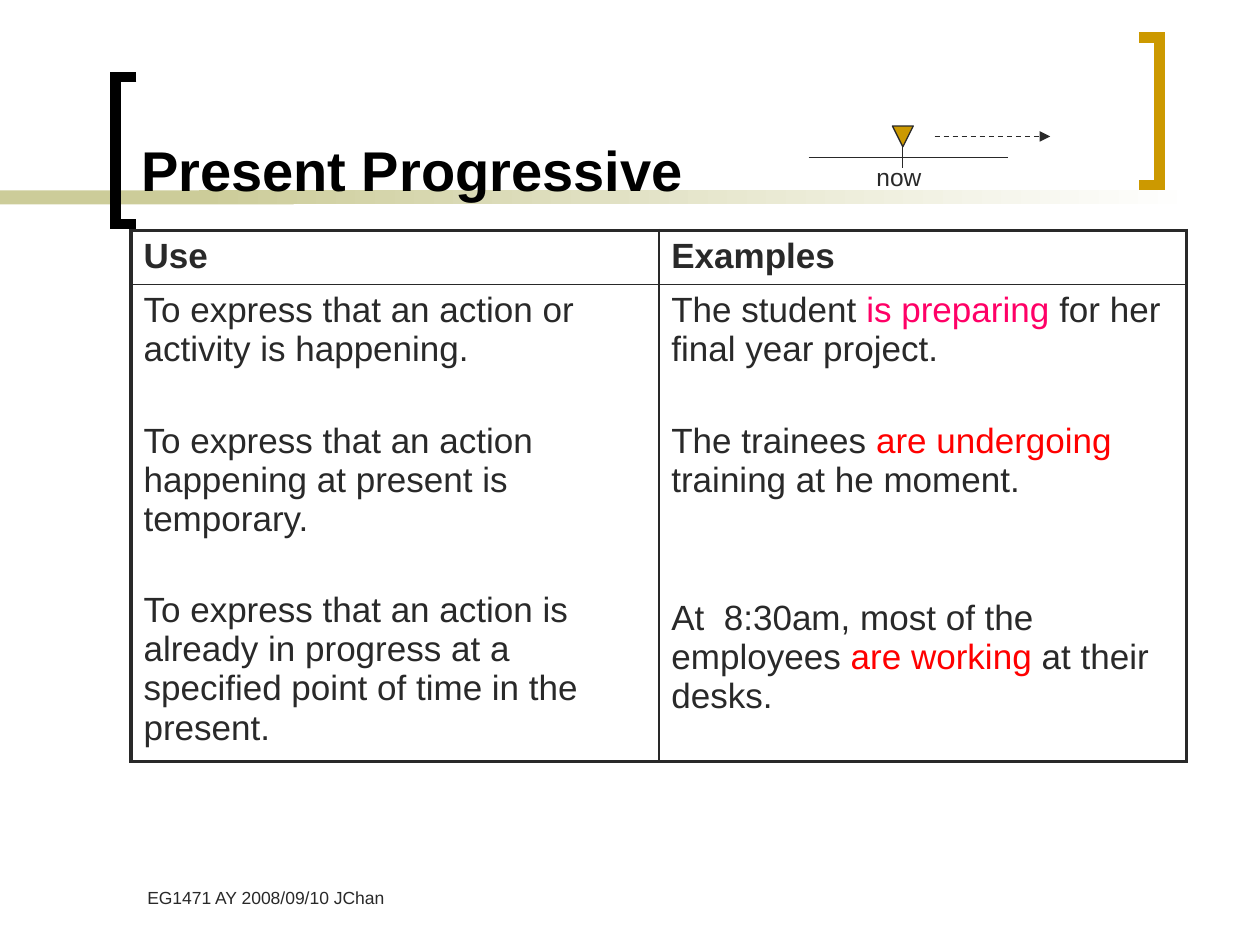
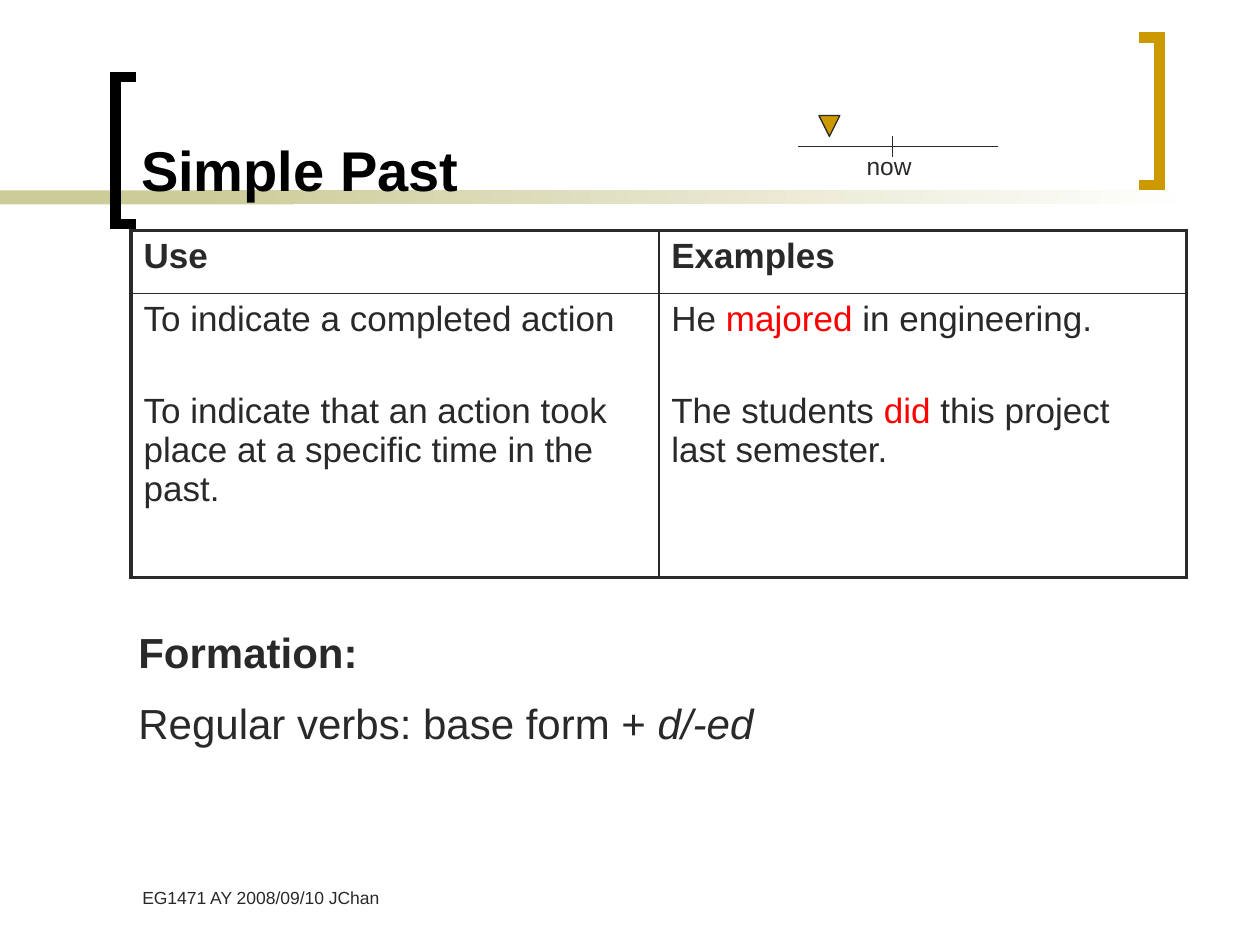
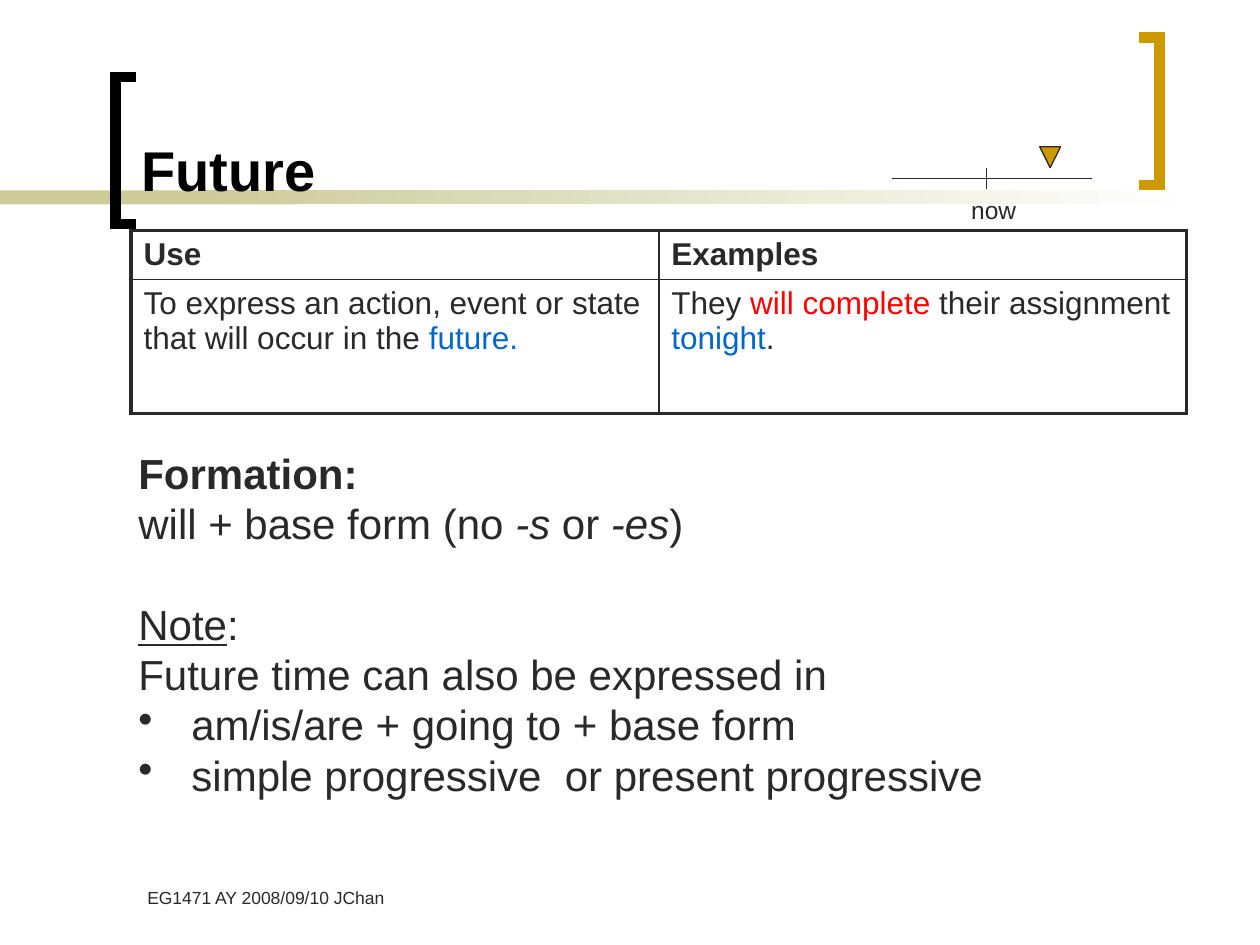
from dataclasses import dataclass
from typing import NamedTuple, Optional

from lxml import etree
from pptx import Presentation
from pptx.dml.color import RGBColor
from pptx.enum import dml, shapes, text
from pptx.oxml.ns import qn
from pptx.util import Cm, Pt

# Shared look
FONT = "Arial"
INK = RGBColor(0x29, 0x29, 0x29)
BLACK = RGBColor(0, 0, 0)
WHITE = RGBColor(0xFF, 0xFF, 0xFF)
GOLD = RGBColor(0xCC, 0x99, 0x00)
SAND = RGBColor(0xCC, 0xCC, 0x99)
PINK = RGBColor(0xFF, 0x00, 0x66)
RED = RGBColor(0xFF, 0x00, 0x00)
BLUE = RGBColor(0x00, 0x66, 0xCC)
TITLE_ONLY = 5
OUTER, INNER = 2.25, 1
FOOTER = "EG1471 AY 2008/09/10 JChan"


class Box(NamedTuple):
    """Left, top, width and height in centimetres."""
    left: float
    top: float
    width: float
    height: float

    def lengths(self) -> list:
        return [Cm(v) for v in self]


class Span(NamedTuple):
    text: str
    color: Optional[RGBColor] = None
    italic: bool = False
    underline: bool = False


class Para(NamedTuple):
    spans: list
    before: float = 0
    bold: bool = False
    bullet: bool = False


@dataclass
class Timeline:
    left: float
    top: float
    label: tuple
    marker: tuple
    arrow: Optional[tuple] = None


@dataclass
class Tense:
    title: str
    timeline: Timeline
    row_heights: tuple
    table_size: int
    uses: list
    examples: list
    footer_indent: float = 0.25
    formation_box: Optional[Box] = None
    formation: tuple = ()


# Text
def write(tf, paras: list, size: float, color: RGBColor = INK) -> None:
    for i, para in enumerate(paras):
        p = tf.paragraphs[0] if i == 0 else tf.add_paragraph()
        p.alignment = text.PP_ALIGN.LEFT
        if para.before:
            p.space_before = Pt(para.before)
        p.font.name, p.font.size, p.font.bold = FONT, Pt(size), para.bold
        p.font.color.rgb = color
        if para.bullet:
            pPr = p._p.get_or_add_pPr()
            pPr.set("marL", str(Cm(1.07)))
            pPr.set("indent", str(-Cm(1.07)))
            bullet = etree.Element(qn("a:buChar"), char="•")
            pPr.find(qn("a:defRPr")).addprevious(bullet)
        for span in para.spans:
            r = p.add_run()
            r.text = span.text
            if span.color is not None:
                r.font.color.rgb = span.color
            if span.italic:
                r.font.italic = True
            if span.underline:
                r.font.underline = True


def add_text(slide, box: Box, paras: list, size: float, wrap: bool = True):
    tf = slide.shapes.add_textbox(*box.lengths()).text_frame
    tf.word_wrap = wrap
    write(tf, paras, size)
    return tf


# Lines and shapes
def add_line(slide, x1: float, y1: float, x2: float, y2: float):
    line = slide.shapes.add_connector(
        shapes.MSO_CONNECTOR.STRAIGHT, Cm(x1), Cm(y1), Cm(x2), Cm(y2))
    line.line.color.rgb = INK
    line.line.width = Pt(0.75)
    etree.SubElement(line.element.spPr, qn("a:effectLst"))
    return line


def add_band(slide, box: Box):
    sp = slide.shapes.add_shape(shapes.MSO_SHAPE.RECTANGLE, *box.lengths())
    sp.shadow.inherit = False
    sp.line.fill.background()
    return sp


def add_bracket(slide, spine: float, tip: float, top: float,
                color: RGBColor) -> None:
    bottom = top + 2.97
    outline = slide.shapes.build_freeform(Cm(tip), Cm(top))
    outline.add_line_segments(
        [(Cm(x), Cm(y)) for x, y in
         ((spine, top), (spine, bottom), (tip, bottom))], close=False)
    sp = outline.convert_to_shape()
    sp.shadow.inherit = False
    sp.fill.background()
    sp.line.color.rgb = color
    sp.line.width = Pt(6)
    etree.SubElement(sp.element.spPr.find(qn("a:ln")), qn("a:miter"), lim="800000")


# Slide parts
def add_frame(slide, title: str, footer_indent: float) -> None:
    band = add_band(slide, Box(0, 3.84, 5.92, 0.28))
    band.fill.solid()
    band.fill.fore_color.rgb = SAND
    fade = add_band(slide, Box(4.01, 3.84, 20.12, 0.28))
    fade.fill.gradient()
    fade.fill.gradient_angle = 0
    for stop, color in zip(fade.fill.gradient_stops, (SAND, WHITE)):
        stop.color.rgb = color
    add_bracket(slide, 2.33, 2.75, 1.55, BLACK)
    add_bracket(slide, 23.37, 22.96, 0.76, GOLD)

    tf = add_text(slide, Box(2.62, 17.35, 5.84, 1.27), [Para([Span(FOOTER)])], 10)
    tf.margin_left, tf.margin_top = Cm(footer_indent), Cm(0.53)

    heading = slide.shapes.title
    heading.left, heading.top, heading.width, heading.height = \
        Box(2.59, 0.28, 19.89, 3.94).lengths()
    tf = heading.text_frame
    tf.auto_size = text.MSO_AUTO_SIZE.NONE
    tf.vertical_anchor = text.MSO_ANCHOR.BOTTOM
    write(tf, [Para([Span(title)], bold=True)], 32, BLACK)
    slide.shapes.element.append(heading.element)  # in front of the band


def set_borders(cell, widths: dict) -> None:
    tcPr = cell._tc.get_or_add_tcPr()
    for side, width in widths.items():
        ln = etree.SubElement(tcPr, qn(f"a:ln{side}"), w=str(Pt(width)))
        fill = etree.SubElement(ln, qn("a:solidFill"))
        etree.SubElement(fill, qn("a:srgbClr"), val=str(INK))


def add_use_table(slide, tense: Tense) -> None:
    box = Box(2.64, 4.65, 21.28, sum(tense.row_heights))
    table = slide.shapes.add_table(2, 2, *box.lengths()).table
    table.first_row = table.horz_banding = False
    for column in table.columns:
        column.width = Cm(box.width / 2)
    content = [[[Para([Span(head)], bold=True)] for head in ("Use", "Examples")],
               [tense.uses, tense.examples]]
    for row, paras_in_row in enumerate(content):
        table.rows[row].height = Cm(tense.row_heights[row])
        for col, paras in enumerate(paras_in_row):
            cell = table.cell(row, col)
            write(cell.text_frame, paras, tense.table_size)
            set_borders(cell, {"L": INNER if col else OUTER,
                               "R": OUTER if col else INNER,
                               "T": INNER if row else OUTER,
                               "B": OUTER if row else INNER})
            cell.fill.background()


def add_timeline(slide, line: Timeline) -> None:
    now = line.left + 1.9
    add_line(slide, line.left, line.top, line.left + 4.02, line.top)
    add_line(slide, now, line.top - 0.21, now, line.top + 0.21)
    add_text(slide, Box(*line.label, 1.42, 0.84), [Para([Span("now")])], 14, wrap=False)
    marker = slide.shapes.add_shape(shapes.MSO_SHAPE.ISOSCELES_TRIANGLE,
                                    *Box(*line.marker, 0.42, 0.42).lengths())
    marker.rotation = 180
    marker.shadow.inherit = False
    marker.fill.solid()
    marker.fill.fore_color.rgb = GOLD
    marker.line.color.rgb = INK
    marker.line.width = Pt(0.75)
    if line.arrow:
        arrow = add_line(slide, *line.arrow)
        arrow.line.dash_style = dml.MSO_LINE.DASH
        etree.SubElement(arrow.element.spPr.find(qn("a:ln")),
                         qn("a:tailEnd"), type="triangle")


# Content
TENSES = [
    Tense(
        "Present Progressive",
        Timeline(16.3, 3.18, label=(17.42, 3.15), marker=(17.99, 2.54),
                 arrow=(18.84, 2.75, 21.17, 2.75)),
        row_heights=(1.09, 9.61), table_size=20, footer_indent=0.35,
        uses=[
            Para([Span("To express that an action or activity is happening.")]),
            Para([Span("To express that an action happening at present is "
                       "temporary.")], before=30),
            Para([Span("To express that an action is already in progress at a "
                       "specified point of time in the present.")], before=30)],
        examples=[
            Para([Span("The student "), Span("is preparing ", PINK),
                  Span("for her final year project.")]),
            Para([Span("The trainees "), Span("are undergoing ", RED),
                  Span("training at he moment.")], before=30),
            Para([Span("At  8:30am, most of the employees "),
                  Span("are working ", RED), Span("at their desks.")], before=56.5)]),
    Tense(
        "Simple Past",
        Timeline(16.09, 2.96, label=(17.22, 2.92), marker=(16.51, 2.33)),
        row_heights=(1.27, 5.72), table_size=20,
        uses=[
            Para([Span("To indicate a completed action")]),
            Para([Span("To indicate that an action took place at a specific "
                       "time in the past.")], before=30)],
        examples=[
            Para([Span("He "), Span("majored", RED), Span(" in engineering.")]),
            Para([Span("The students "), Span("did", RED),
                  Span(" this project last semester.")], before=30)],
        formation_box=Box(2.54, 12.5, 21.39, 2.79),
        formation=(
            Para([Span("Formation:")], bold=True),
            Para([Span("Regular verbs: base form + "),
                  Span("d/-ed", italic=True)], before=12))),
    Tense(
        "Future",
        Timeline(17.99, 3.6, label=(19.33, 3.81), marker=(20.96, 2.96)),
        row_heights=(0.98, 2.7), table_size=18, footer_indent=0.35,
        uses=[Para([Span("To express an action, event or state that will occur "
                         "in the "), Span("future.", BLUE)])],
        examples=[Para([Span("They "), Span("will complete ", RED),
                        Span("their assignment "), Span("tonight", BLUE),
                        Span(".")])],
        formation_box=Box(2.54, 8.89, 19.89, 7.37),
        formation=(
            Para([Span("Formation:")], bold=True),
            Para([Span("will + base form (no "), Span("-s", italic=True),
                  Span(" or "), Span("-es", italic=True), Span(")")]),
            Para([Span("Note", underline=True), Span(":")], before=28.7),
            Para([Span("Future time can also be expressed in")]),
            Para([Span("am/is/are + going to + base form")], bullet=True),
            Para([Span("simple progressive  or present progressive")],
                 bullet=True))),
]


def main() -> None:
    prs = Presentation()
    prs.slide_width, prs.slide_height = Cm(25.4), Cm(19.05)
    for tense in TENSES:
        slide = prs.slides.add_slide(prs.slide_layouts[TITLE_ONLY])
        add_frame(slide, tense.title, tense.footer_indent)
        add_use_table(slide, tense)
        if tense.formation_box:
            add_text(slide, tense.formation_box, tense.formation, 24)
        add_timeline(slide, tense.timeline)
    prs.save("out.pptx")


if __name__ == "__main__":
    main()
